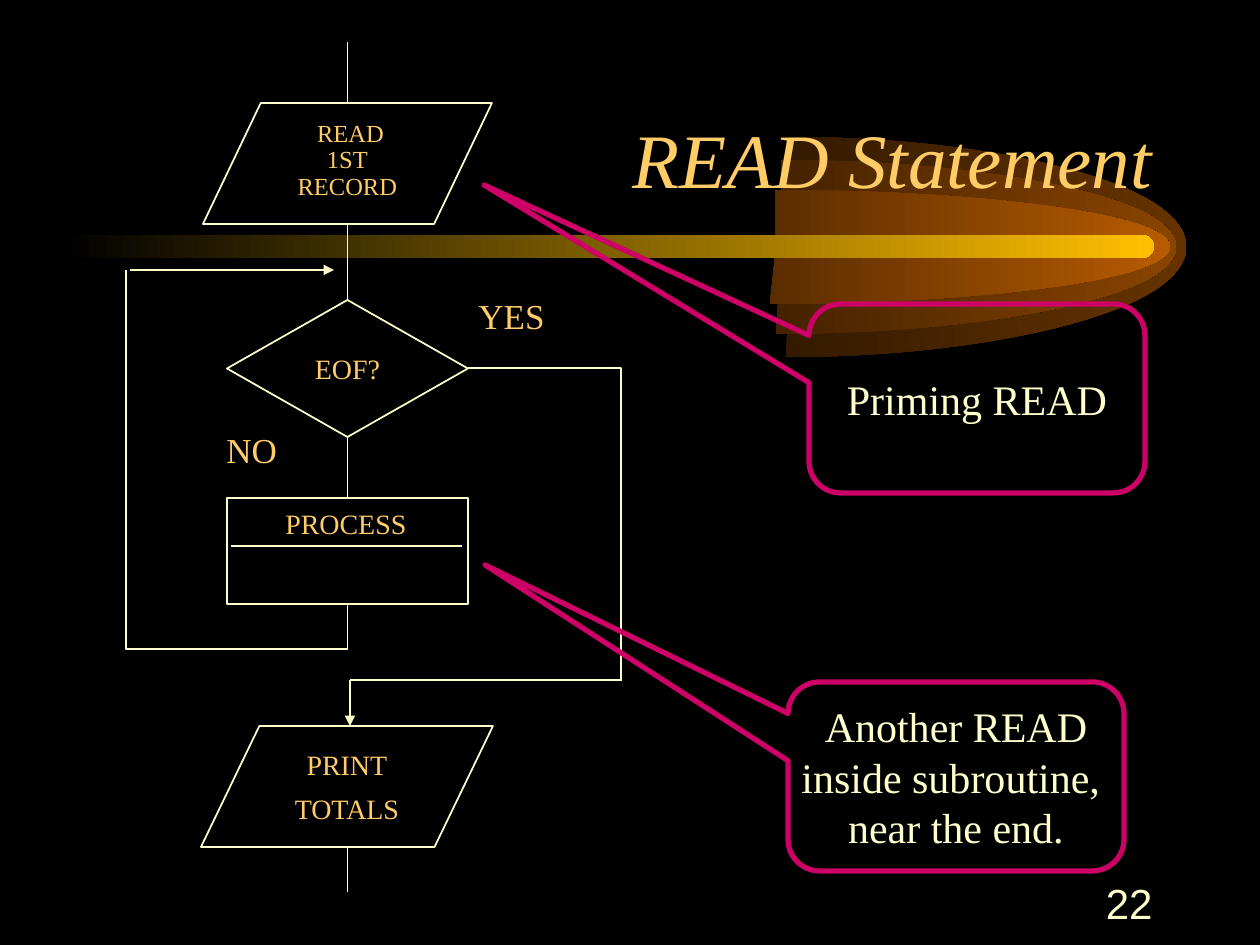
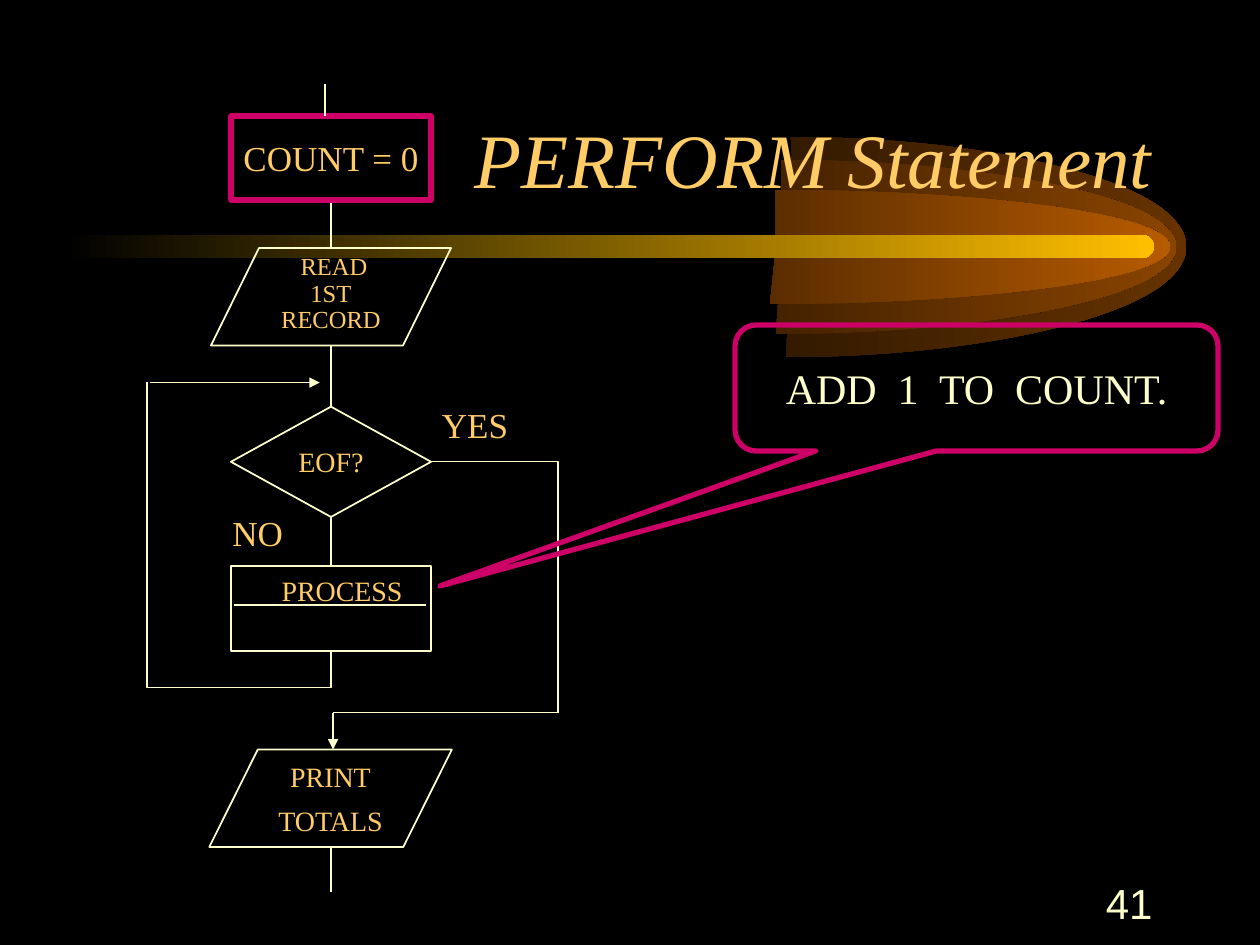
import lxml.etree
import pptx
import pptx.dml.color
import pptx.enum.shapes
import pptx.enum.text
import pptx.oxml.ns
import pptx.util

SHAPE = pptx.enum.shapes.MSO_SHAPE
CONNECTOR = pptx.enum.shapes.MSO_CONNECTOR
ALIGN = pptx.enum.text.PP_ALIGN
ANCHOR = pptx.enum.text.MSO_ANCHOR
qn = pptx.oxml.ns.qn

EMU_PER_PIXEL = 914400 / 126
BLACK, GOLD, CREAM, PINK = "000000", "FFCC66", "FFFFCC", "CC0066"
SERIF, SANS = "Times New Roman", "Arial"
THIN, THICK = 0.99, 3


def px(value):
    return pptx.util.Emu(round(value * EMU_PER_PIXEL))


def rgb(value):
    return pptx.dml.color.RGBColor.from_string(value)


# ---- text and shapes ----
def write(shape, lines, size, color, font=SERIF, italic=False, align=ALIGN.CENTER,
          anchor=ANCHOR.MIDDLE, wrap=False, before=0, spacing=None):
    frame = shape.text_frame
    frame.word_wrap = wrap
    frame.vertical_anchor = anchor
    for index, line in enumerate(lines):
        para = frame.paragraphs[0] if index == 0 else frame.add_paragraph()
        para.alignment = align
        para.space_before = pptx.util.Pt(before)
        if spacing:
            para.line_spacing = spacing
        span = para.add_run()
        span.text = line
        span.font.name = font
        span.font.size = pptx.util.Pt(size)
        span.font.italic = italic
        span.font.color.rgb = rgb(color)


def add_text(page, box, lines, size, color, **style):
    shape = page.shapes.add_textbox(*map(px, box))
    write(shape, lines, size, color, **style)


def add_outline(page, kind, box, color=CREAM, width=THIN):
    shape = page.shapes.add_shape(kind, *map(px, box))
    shape.shadow.inherit = False
    shape.fill.background()
    shape.line.color.rgb = rgb(color)
    shape.line.width = pptx.util.Pt(width)
    return shape


def fade_from_black(shape, color):
    shape.shadow.inherit = False
    shape.line.fill.background()
    shape.fill.gradient()
    shape.fill.gradient_angle = 0
    for stop, stop_color in zip(shape.fill.gradient_stops, (BLACK, color)):
        stop.color.rgb = rgb(stop_color)


# ---- lines ----
def add_line(page, start, end, arrow=False, kind=CONNECTOR.STRAIGHT):
    line = page.shapes.add_connector(kind, *map(px, (*start, *end)))
    line.line.color.rgb = rgb(CREAM)
    line.line.width = pptx.util.Pt(THIN)
    properties = line._element.spPr
    if arrow:
        lxml.etree.SubElement(properties.find(qn("a:ln")), qn("a:tailEnd"), type="triangle")
    lxml.etree.SubElement(properties, qn("a:effectLst"))
    return line


def add_corner(page, start, end):
    """Goes right from start, then down to end."""
    line = add_line(page, start, end, kind=CONNECTOR.ELBOW)
    line._element.spPr.find(qn("a:prstGeom")).set("prst", "bentConnector2")


def add_loop(page, start, end, drop):
    """Goes down from start by drop, left, then up to end."""
    width, height = start[0] - end[0], start[1] - end[1]
    middle_x, middle_y = (start[0] + end[0]) / 2, (start[1] + end[1]) / 2
    # The frame is turned a quarter, so its sides swap
    line = add_line(page, (middle_x - height / 2, middle_y - width / 2),
                    (middle_x + height / 2, middle_y + width / 2), kind=CONNECTOR.ELBOW)
    properties = line._element.spPr
    frame = properties.find(qn("a:xfrm"))
    frame.set("rot", str(270 * 60000))
    frame.set("flipV", "1")
    geometry = properties.find(qn("a:prstGeom"))
    guides = geometry.find(qn("a:avLst"))
    if guides is None:
        guides = lxml.etree.SubElement(geometry, qn("a:avLst"))
    lxml.etree.SubElement(guides, qn("a:gd"), name="adj1",
                          fmla=f"val {round(-drop / height * 100000)}")


# ---- comet behind the title ----
def add_flame(page, box, color):
    """The flame fills the right half of its box."""
    left, top, width, height = box
    across = (0, 141, 272, 343, 413, 413, 342, 271, 137, -5, 1)
    down = (0, 0, 0.1, 0.25, 0.4, 0.6, 0.75, 0.9, 1, 1, 0.5)
    points = [(px(left + 393 + x), px(top + y * height)) for x, y in zip(across, down)]
    # Starting at the box corner makes the frame cover the whole box
    builder = page.shapes.build_freeform(px(left), px(top), scale=1.0)
    builder.move_to(*points[0])
    builder.add_line_segments(points[1:], close=True)
    flame = builder.convert_to_shape()
    flame.width = px(width)
    outline = flame._element.spPr.find(".//" + qn("a:path"))
    outline.set("w", str(px(width)))
    outline.remove(outline[0])
    # Each three of the first nine segments become one curve
    segments = outline.findall(qn("a:lnTo"))
    for first in (0, 3, 6):
        curve = lxml.etree.Element(qn("a:cubicBezTo"))
        segments[first].addprevious(curve)
        for segment in segments[first:first + 3]:
            curve.append(segment[0])
            outline.remove(segment)
    fade_from_black(flame, color)


def add_comet(page):
    add_flame(page, (398, 137, 789, 220), "663300")
    add_flame(page, (388, 160, 789, 174), "894400")
    add_flame(page, (382, 190, 789, 114), "B75B00")
    bar = page.shapes.add_shape(SHAPE.ROUNDED_RECTANGLE, *map(px, (63, 235, 1091, 23)))
    bar.adjustments[0] = 0.5
    fade_from_black(bar, "FFBF00")


# ---- what every slide has ----
def add_page(deck, title, number):
    page = deck.slides.add_slide(deck.slide_layouts[6])
    page.background.fill.solid()
    page.background.fill.fore_color.rgb = rgb(BLACK)
    add_comet(page)
    add_text(page, (94, 53, 1071, 157), [title], 44, GOLD, italic=True,
             align=ALIGN.RIGHT, anchor=ANCHOR.BOTTOM, wrap=True)
    add_text(page, (903, 871, 262, 63), [number], 24, CREAM, font=SANS,
             align=ALIGN.RIGHT, wrap=True)
    return page


# ---- flowchart, laid out on a 496 x 805 grid stretched to its box ----
def add_flowchart(page, box):
    left, top, width, height = box
    scale_x, scale_y = width / 496, height / 805

    def at(x, y):
        return left + x * scale_x, top + y * scale_y

    def area(x, y, w, h):
        return (*at(x, y), w * scale_x, h * scale_y)

    axis, back, merge = 221.5, 228, 638

    # Steps
    add_outline(page, SHAPE.FLOWCHART_PROCESS, area(101, 456, 241, 106))
    output = add_outline(page, SHAPE.FLOWCHART_DATA, area(75, 684, 292, 121))
    write(output, ["PRINT", "TOTALS"], 16, GOLD, before=6)
    decision = add_outline(page, SHAPE.FLOWCHART_DECISION, area(101, 258, 241, 137))
    write(decision, ["EOF?"], 16, GOLD, before=6)
    reading = add_outline(page, SHAPE.FLOWCHART_DATA, area(77, 61, 289, 121))
    write(reading, [" READ", "1ST", "RECORD"], 14, GOLD, before=5.2, spacing=0.6)

    # Main line, down to a tail of fixed length
    for y_start, y_end in ((0, 61), (182, 258), (395, 456)):
        add_line(page, at(axis, y_start), at(axis, y_end))
    tail_x, tail_y = at(axis, 805)
    add_line(page, (tail_x, tail_y), (tail_x, tail_y + 45))

    # Loop back and way out
    add_loop(page, at(axis, 562), at(0, back), 45 * scale_y)
    add_line(page, at(4, back), at(208, back), arrow=True)
    add_corner(page, at(342, 326), at(495, merge))
    add_line(page, at(496, merge), at(224, merge))
    add_line(page, at(224, merge), at(224, 684), arrow=True)

    # Labels
    add_line(page, at(105, 504), at(336, 504))
    for word, spot, size, label_width, label_height in (
            ("YES", at(340, 246), 20, 94, 55),
            ("NO", at(88, 380), 20, 78, 55),
            ("PROCESS", at(147, 458), 16, 148, 47)):
        add_text(page, (*spot, label_width, label_height), [word], size, GOLD,
                 align=ALIGN.LEFT, anchor=ANCHOR.TOP, before=size * 0.375)


def add_callout(page, box, target, lines):
    left, top, width, height = box
    callout = add_outline(page, SHAPE.ROUNDED_RECTANGULAR_CALLOUT, box, PINK, THICK)
    callout.adjustments[0] = (target[0] - left) / width - 0.5
    callout.adjustments[1] = (target[1] - top) / height - 0.5
    callout.adjustments[2] = 0.167
    write(callout, lines, 24, CREAM)


deck = pptx.Presentation()
deck.slide_width, deck.slide_height = px(1260), px(945)

# READ slide
page = add_page(deck, "READ Statement", "22")
add_flowchart(page, (126, 42, 496, 805))
add_callout(page, (788, 682, 336, 189), (485, 565),
            ["Another READ", "inside subroutine, ", "near the end."])
add_callout(page, (809, 304, 336, 189), (484, 185), ["Priming READ"])

# PERFORM slide, with a counter set before the chart
page = add_page(deck, "PERFORM Statement", "41")
add_flowchart(page, (147, 199, 412, 648))
add_callout(page, (735, 325, 483, 126), (440, 586), ["ADD  1  TO  COUNT."])
counter = add_outline(page, SHAPE.RECTANGLE, (231, 116, 200, 84), PINK, THICK)
write(counter, ["COUNT = 0"], 20, GOLD)
add_line(page, (325, 84), (325, 116))

deck.save("out.pptx")
